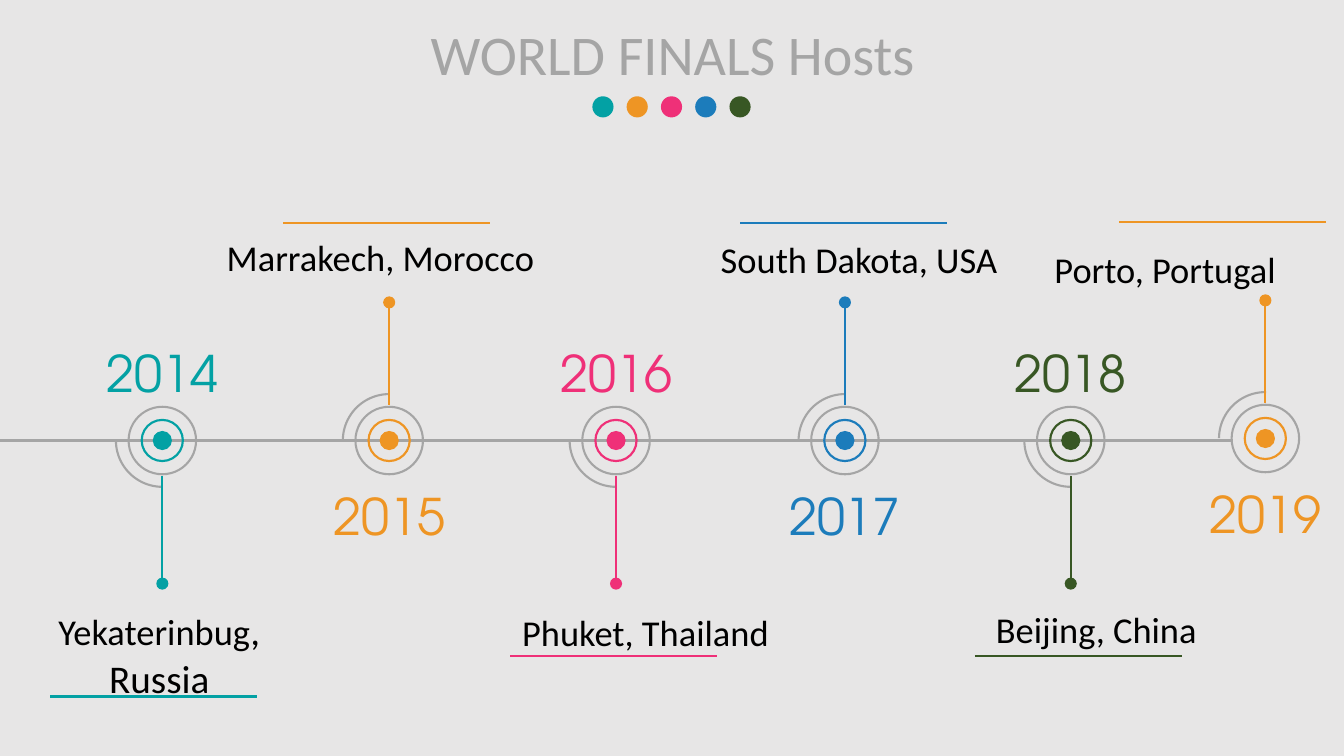
from collections import namedtuple
from itertools import pairwise

from lxml import etree
from pptx import Presentation
from pptx.dml.color import RGBColor
from pptx.enum import shapes, text
from pptx.oxml import ns
from pptx.util import Inches, Pt

GREY, BLACK, BACKGROUND = "A5A5A5", "000000", "E7E6E6"
TEAL, ORANGE, PINK, BLUE, GREEN = "03A1A4", "EE9524", "EF3078", "1C7CBB", "385724"
BODY_FONT, YEAR_FONT = "Calibri", "TeX Gyre Adventor"
AXIS_Y = 4.37
RULE_LENGTH = 2.05

# side is 1 when the host hangs below the axis and -1 when it stands above;
# host_box is left, top, width, height; rule is the left end and height of the line
Final = namedtuple("Final", "year colour x y side host host_box indent rule")
FINALS = [
    Final("2014", TEAL, 1.61, AXIS_Y, 1, [("Yekaterinbug", 26), (", Russia", 28)],
          (0.23, 5.97, 2.7, 0.52), None, (0.5, 6.91)),
    Final("2015", ORANGE, 3.86, AXIS_Y, -1, [("Marrakech, Morocco", 26)],
          (1.15, 2.28, 5.18, 0.49), 1, (2.81, 2.21)),
    Final("2016", PINK, 6.11, AXIS_Y, 1, [("Phuket, Thailand", 26)],
          (4.08, 6, 4.05, 0.49), 1, (5.06, 6.51)),
    Final("2017", BLUE, 8.38, AXIS_Y, -1, [("South Dakota, USA", 26)],
          (6.05, 2.3, 4.39, 0.49), 1, (7.34, 2.21)),
    Final("2018", GREEN, 10.62, AXIS_Y, 1, [("Beijing, China", 26)],
          (8.78, 5.97, 3.74, 0.49), 1, (9.67, 6.51)),
    Final("2019", ORANGE, 12.55, 4.35, -1, [("Porto, Portugal", 26)],
          (9.2, 2.4, 4.3, 0.49), 1.16, (11.1, 2.2)),
]


def rgb(colour):
    return RGBColor.from_string(colour)


class Timeline:
    """Holds the line style and the slide being drawn."""

    line_width = Pt(1.5)

    def __init__(self, slide):
        self.slide = slide
        slide.background.fill.solid()
        slide.background.fill.fore_color.rgb = rgb(BACKGROUND)

    def line(self, start, end, colour):
        connector = self.slide.shapes.add_connector(
            shapes.MSO_CONNECTOR.STRAIGHT, *map(Inches, (*start, *end)))
        connector.line.color.rgb = rgb(colour)
        connector.line.width = self.line_width
        etree.SubElement(connector._element.spPr, ns.qn("a:effectLst"))

    def round(self, preset, x, y, size, parent=None):
        """Add a preset shape in a square centred on x, y."""
        canvas = parent or self.slide
        shape = canvas.shapes.add_shape(
            preset, *map(Inches, (x - size / 2, y - size / 2, size, size)))
        shape.shadow.inherit = False
        return shape

    def dot(self, x, y, size, colour, parent=None):
        self.fill(self.round(shapes.MSO_SHAPE.OVAL, x, y, size, parent), colour)

    def ring(self, x, y, size, thickness, colour):
        ring = self.round(shapes.MSO_SHAPE.DONUT, x, y, size)
        ring.adjustments[0] = thickness
        self.fill(ring, colour)

    def fill(self, shape, colour):
        shape.fill.solid()
        shape.fill.fore_color.rgb = rgb(colour)
        shape.line.fill.background()

    def quarter_arc(self, x, y, side):
        arc = self.round(shapes.MSO_SHAPE.ARC, x, y, 0.92)
        arc.adjustments[0] = 54.2
        arc.adjustments[1] = 108.53
        arc.rotation = 0 if side > 0 else 90
        arc.fill.background()
        arc.line.color.rgb = rgb(GREY)
        arc.line.width = self.line_width

    def add_runs(self, frame, runs, font, colour, indent=None):
        """Fill a text frame with (words, size) runs, centred unless indented."""
        frame.word_wrap = True
        frame.auto_size = text.MSO_AUTO_SIZE.NONE
        frame.vertical_anchor = text.MSO_ANCHOR.TOP
        paragraph = frame.paragraphs[0]
        if indent is None:
            paragraph.alignment = text.PP_ALIGN.CENTER
        else:
            paragraph.alignment = text.PP_ALIGN.LEFT
            paragraph._p.get_or_add_pPr().set("marL", str(Inches(indent)))
        for words, size in runs:
            run = paragraph.add_run()
            run.text = words
            run.font.name = font
            run.font.size = Pt(size)
            run.font.color.rgb = rgb(colour)

    def label(self, box, runs, font, colour, indent=None):
        label = self.slide.shapes.add_textbox(*map(Inches, box))
        self.add_runs(label.text_frame, runs, font, colour, indent)

    def title(self, words):
        title = self.slide.shapes.title
        title.left, title.top, title.width, title.height = map(
            Inches, (2.69, 0.14, 7.96, 0.77))
        self.add_runs(title.text_frame, [(words, 40)], BODY_FONT, GREY)

    def colour_dots(self, colours):
        group = self.slide.shapes.add_group_shape()
        for i, colour in enumerate(colours):
            self.dot(5.98 + 0.34 * i, 1.06, 0.21, colour, group)

    def axis(self, stops):
        for left, right in pairwise(stops):
            self.line((left, AXIS_Y), (right, AXIS_Y), GREY)

    def final(self, final):
        x, y, side, colour = final.x, final.y, final.side, final.colour
        below = side > 0
        self.quarter_arc(x, y, side)
        self.dot(x, y, 0.19, colour)
        self.ring(x, y, 0.43, 0.05, colour)
        self.ring(x, y, 0.69, 0.03, GREY)
        self.line((x, y + 1.38 * side), (x, y + 0.35 * side), colour)
        self.dot(x, y + (1.42 if below else -1.37), 0.12, colour)
        year_top = y + (-1.03 if below else 0.39)
        self.label((x - 0.76, year_top, 1.52, 0.65), [(final.year, 36)],
                   YEAR_FONT, colour)
        self.label(final.host_box, final.host, BODY_FONT, BLACK, final.indent)
        left, height = final.rule
        self.line((left, height), (left + RULE_LENGTH, height), colour)


def main():
    deck = Presentation()
    deck.slide_width, deck.slide_height = Inches(13.33), Inches(7.5)
    timeline = Timeline(deck.slides.add_slide(deck.slide_layouts.get_by_name("Title Only")))
    timeline.title("WORLD FINALS Hosts")
    timeline.colour_dots([TEAL, ORANGE, PINK, BLUE, GREEN])
    timeline.axis([0, 1.66, 3.92, 6.18, 8.43, 10.69, 12.23])
    for final in FINALS:
        timeline.final(final)
    deck.save("out.pptx")


if __name__ == "__main__":
    main()
